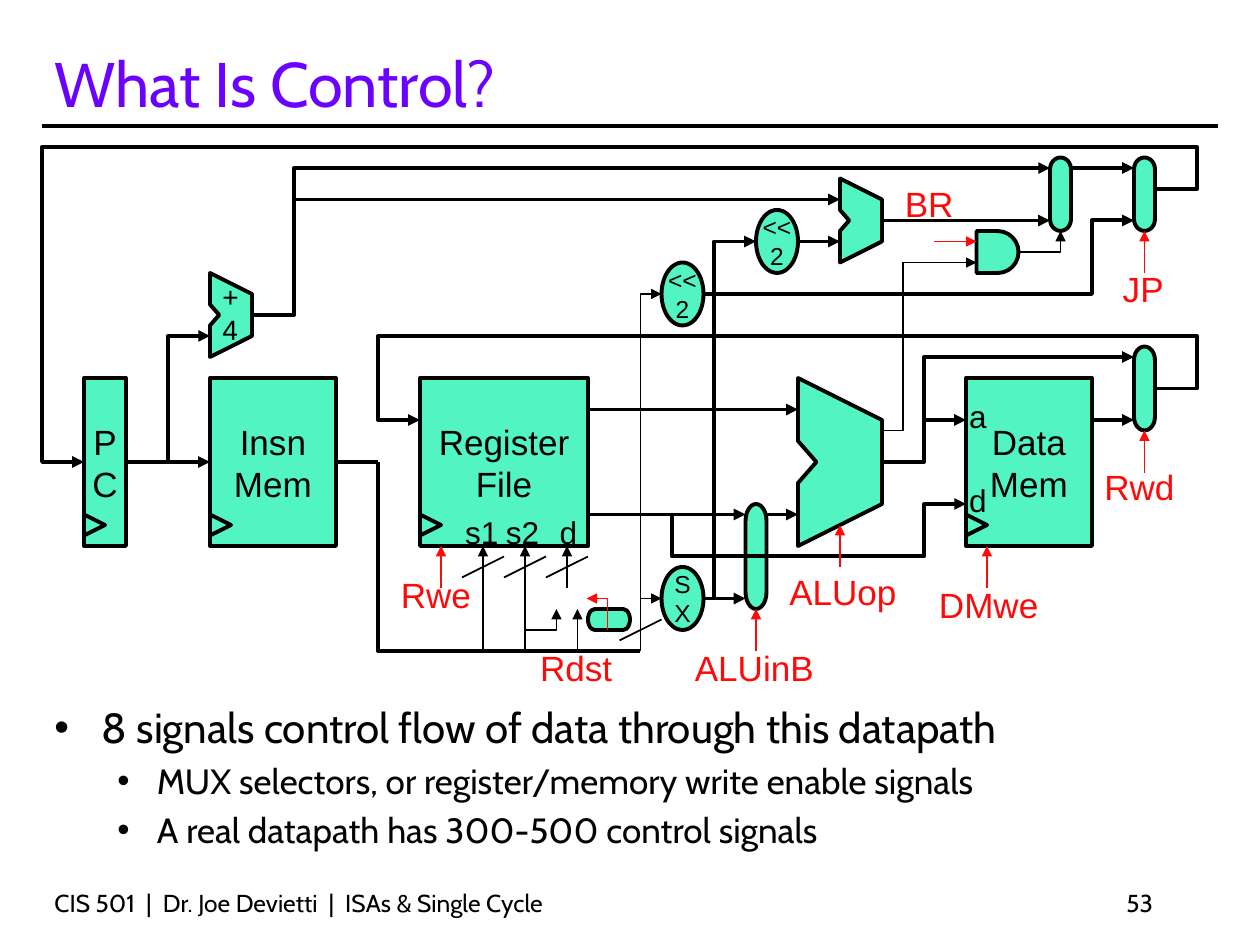
from collections import namedtuple

from lxml.etree import SubElement
from pptx import Presentation
from pptx.dml.color import RGBColor
from pptx.enum.shapes import MSO_CONNECTOR as Connector, MSO_SHAPE as Shape
from pptx.enum.text import MSO_ANCHOR as Anchor, PP_ALIGN as Align
from pptx.oxml.ns import qn
from pptx.util import Pt

PX = 9525  # EMU per px, 96 px to the inch
COLORS = {"ink": "000000", "title": "6B02FF", "body": "030305",
          "unit": "52F4C2", "control": "FF0909"}
THICK, THIN = 2.25, 1
TOP, LEFT, BOTTOM, RIGHT = range(4)
Box = namedtuple("Box", "left top width height")


def color(name):
    return RGBColor.from_string(COLORS[name])


def place(box, left, top, width, height):
    return [(box.left + left) * PX, (box.top + top) * PX, width * PX, height * PX]


def write(frame, lines, size=20, font="Arial", ink="ink", align=Align.LEFT,
          anchor=Anchor.TOP, wrap=False):
    frame.word_wrap = wrap
    frame.vertical_anchor = anchor
    for index, line in enumerate(lines):
        para = frame.paragraphs[0] if index == 0 else frame.add_paragraph()
        para.alignment = align
        span = para.add_run()
        span.text = line
        span.font.size = Pt(size)
        span.font.name = font
        span.font.color.rgb = color(ink)


def label(page, box, text, left, top, width, height=41, **style):
    holder = page.shapes.add_textbox(*place(box, left, top, width, height))
    write(holder.text_frame, text.split("\n"), **style)


def control_label(page, box, text, left, top, width):
    label(page, box, text, left, top, width, ink="control")


def finish(shape, fill="unit"):
    shape.shadow.inherit = False
    if fill:
        shape.fill.solid()
        shape.fill.fore_color.rgb = color(fill)
    else:
        shape.fill.background()
    shape.line.color.rgb = color("ink")
    shape.line.width = Pt(THICK)
    return shape


def unit(page, box, kind, left, top, width, height, text="", size=20):
    shape = finish(page.shapes.add_shape(kind, *place(box, left, top, width, height)))
    if text:
        write(shape.text_frame, text.split("\n"), size=size,
              align=Align.CENTER, anchor=Anchor.MIDDLE)
    return shape


def clocked_block(page, box, left, top, width, text):
    block = unit(page, box, Shape.RECTANGLE, left, top, width, 128, text)
    unit(page, box, Shape.ISOSCELES_TRIANGLE, left, top + 104, 16, 16).rotation = 90
    return block


def bubble(page, box, left, top, text):
    unit(page, box, Shape.FLOWCHART_CONNECTOR, left, top, 32, 48, text, size=14)


def mux(page, box, left, top, height, width=16):
    shift = (height - width) // 2
    unit(page, box, Shape.FLOWCHART_TERMINATOR, left - shift, top + shift,
         height, width).rotation = 90


def outline(page, box, points, close):
    points = [((box.left + x) * PX, (box.top + y) * PX) for x, y in points]
    builder = page.shapes.build_freeform(*points[0], scale=1.0)
    builder.add_line_segments(points[1:], close=close)
    return builder.convert_to_shape()


def notched_unit(page, box, left, top, width, height):
    notch = round(width * 0.22)
    profile = [(0, 0), (0, 3), (notch, 4), (0, 5), (0, 8), (width, 6), (width, 2)]
    points = [(left + x, top + y * height // 8) for x, y in profile]
    finish(outline(page, box, points, close=True))


def wire(page, box, *points, width=THICK, ink="ink", arrow=True):
    if len(points) == 2:
        ends = [edge * PX for x, y in points for edge in (box.left + x, box.top + y)]
        line = page.shapes.add_connector(Connector.STRAIGHT, *ends)
    else:
        line = finish(outline(page, box, points, close=False), fill=None)
    line.line.color.rgb = color(ink)
    line.line.width = Pt(width)
    if arrow:
        SubElement(line.line._get_or_add_ln(), qn("a:tailEnd"), type="triangle")
    if len(points) == 2:
        SubElement(line._element.spPr, qn("a:effectLst"))
    return line


def control_wire(page, box, *points):
    wire(page, box, *points, width=THIN, ink="control")


def header(page, box, text):
    wire(page, box, (0, 72), (896, 72), arrow=False)
    label(page, box, text, 0, 0, 848, 72, size=36, font="Cabin", ink="title",
          anchor=Anchor.BOTTOM, wrap=True)


def footer(page, box, text, number):
    style = dict(size=14, font="Cabin", anchor=Anchor.BOTTOM, wrap=True)
    label(page, box, text, 0, 0, 600, box.height, **style)
    label(page, box, number, 656, 0, 200, box.height, align=Align.RIGHT, **style)


def bullets(page, box, items):
    frame = page.shapes.add_textbox(*place(box, 0, 0, box.width, box.height)).text_frame
    frame.word_wrap = True
    layouts = [(36, -36, 24, 4.8), (78, -30, 20, 4)]  # margin, indent, size, space
    for index, (level, text) in enumerate(items):
        margin, indent, size, space = layouts[level]
        para = frame.paragraphs[0] if index == 0 else frame.add_paragraph()
        para.level = level
        para.space_before = Pt(space if index else 0)
        props = para._p.get_or_add_pPr()
        props.set("marL", str(margin * PX))
        props.set("indent", str(indent * PX))
        SubElement(props, qn("a:buFont"), typeface="Arial")
        SubElement(props, qn("a:buChar"), char="•")
        span = para.add_run()
        span.text = text
        span.font.size, span.font.name = Pt(size), "Cabin"
        span.font.color.rgb = color("body")


def fetch_stage(page, box):
    counter = clocked_block(page, box, 0, 80, 32, "P\nC")
    memory = clocked_block(page, box, 96, 80, 96, "Insn\nMem")
    link = wire(page, box, (32, 144), (96, 144))
    link.begin_connect(counter, RIGHT)
    link.end_connect(memory, LEFT)
    wire(page, box, (192, 144), (224, 144), arrow=False).begin_connect(memory, RIGHT)
    notched_unit(page, box, 96, 0, 32, 64)
    wire(page, box, (64, 144), (64, 48), (96, 48))
    label(page, box, "+\n4", 96, 0, 36, 60, size=16)


def register_stage(page, box):
    clocked_block(page, box, 32, 0, 128, "Register\nFile")
    wire(page, box, (0, 64), (0, 208), (200, 208), arrow=False)
    # Register ports, each with a bus slash
    ports = [("s1", 80, 208, 57, 50), ("s2", 112, 208, 88, 50), ("d", 144, 160, 129, 38)]
    for name, x, start, left, width in ports:
        wire(page, box, (x, start), (x, 128), width=THIN)
        wire(page, box, (x + 16, 136), (x - 16, 152), width=THIN, arrow=False)
        label(page, box, name, left, 98, width, 38, size=18)
    # Sign extension
    wire(page, box, (200, 208), (200, 168), (216, 168), width=THIN)
    bubble(page, box, 216, 144, "S\nX")
    wire(page, box, (216, 184), (184, 200), width=THIN, arrow=False)
    # Destination selector
    unit(page, box, Shape.FLOWCHART_TERMINATOR, 160, 176, 32, 16)
    wire(page, box, (112, 192), (136, 192), (136, 176), width=THIN)
    wire(page, box, (152, 208), (152, 176), width=THIN)
    control_wire(page, box, (175, 192), (175, 168), (159, 168))
    control_wire(page, box, (48, 160), (48, 128))
    control_label(page, box, "Rwe", 8, 144, 78)
    control_label(page, box, "Rdst", 114, 200, 80)


def execute_stage(page, box):
    notched_unit(page, box, 160, 0, 64, 128)
    wire(page, box, (0, 24), (160, 24))
    wire(page, box, (0, 104), (120, 104))
    wire(page, box, (136, 104), (160, 104))
    mux(page, box, 120, 96, 80)
    wire(page, box, (88, 168), (120, 168))
    wire(page, box, (64, 104), (64, 136), (256, 136), (256, 96), (288, 96))
    control_wire(page, box, (192, 144), (192, 112))
    control_wire(page, box, (128, 208), (128, 176))
    control_label(page, box, "ALUinB", 72, 200, 116)
    control_label(page, box, "ALUop", 144, 142, 108)


def memory_stage(page, box):
    clocked_block(page, box, 64, 24, 96, "Data\nMem")
    for name, top in (("a", 34), ("d", 98)):
        label(page, box, name, 57, top, 38, 38, size=18)
    for x in (32, 160):
        wire(page, box, (x, 56), (x + 32, 56))
    wire(page, box, (0, 88), (32, 88), (32, 8), (192, 8))
    mux(page, box, 192, 0, 64)
    control_wire(page, box, (80, 184), (80, 152))
    control_wire(page, box, (200, 96), (200, 64))
    control_label(page, box, "DMwe", 34, 176, 101)
    control_label(page, box, "Rwd", 160, 86, 78)


def next_address(page, box):
    # Branch target
    bubble(page, box, 544, 48, "<<\n2")
    wire(page, box, (576, 72), (608, 72))
    notched_unit(page, box, 608, 24, 32, 64)
    wire(page, box, (512, 344), (512, 72), (544, 72))
    wire(page, box, (192, 40), (608, 40))
    wire(page, box, (640, 56), (768, 56))
    # Branch decision gate
    unit(page, box, Shape.FLOWCHART_DELAY, 712, 64, 32, 32)
    wire(page, box, (640, 216), (656, 216), (656, 88), (712, 88), width=THIN)
    wire(page, box, (744, 80), (776, 80), (776, 64), width=THIN)
    control_wire(page, box, (680, 72), (712, 72))
    # Jump target
    wire(page, box, (456, 344), (456, 112), (472, 112), width=THIN)
    bubble(page, box, 472, 88, "<<\n2")
    wire(page, box, (504, 112), (800, 112), (800, 56), (832, 56))
    # Selectors and the long return paths
    for left in (768, 832):
        mux(page, box, left, 8, 56)
    wire(page, box, (160, 128), (192, 128), (192, 16), (768, 16))
    wire(page, box, (784, 16), (832, 16))
    wire(page, box, (848, 184), (880, 184), (880, 144), (256, 144), (256, 208), (288, 208))
    wire(page, box, (848, 32), (880, 32), (880, 0), (0, 0), (0, 240), (32, 240))
    control_wire(page, box, (840, 96), (840, 64))
    control_label(page, box, "JP", 814, 87, 56)
    control_label(page, box, "BR", 648, 22, 62)


def main():
    deck = Presentation()
    deck.slide_width, deck.slide_height = 960 * PX, 720 * PX
    page = deck.slides.add_slide(deck.slide_layouts[6])
    header(page, Box(32, 24, 896, 72), "What Is Control?")
    bullets(page, Box(32, 530, 896, 127), [
        (0, "8 signals control flow of data through this datapath"),
        (1, "MUX selectors, or register/memory write enable signals"),
        (1, "A real datapath has 300-500 control signals")])
    fetch_stage(page, Box(64, 208, 224, 208))
    register_stage(page, Box(288, 288, 248, 241))
    execute_stage(page, Box(448, 288, 288, 241))
    memory_stage(page, Box(672, 264, 238, 217))
    next_address(page, Box(32, 112, 880, 344))
    footer(page, Box(32, 672, 856, 32),
           "CIS 501  |  Dr. Joe Devietti  |  ISAs & Single Cycle", "53")
    deck.save("out.pptx")


if __name__ == "__main__":
    main()
